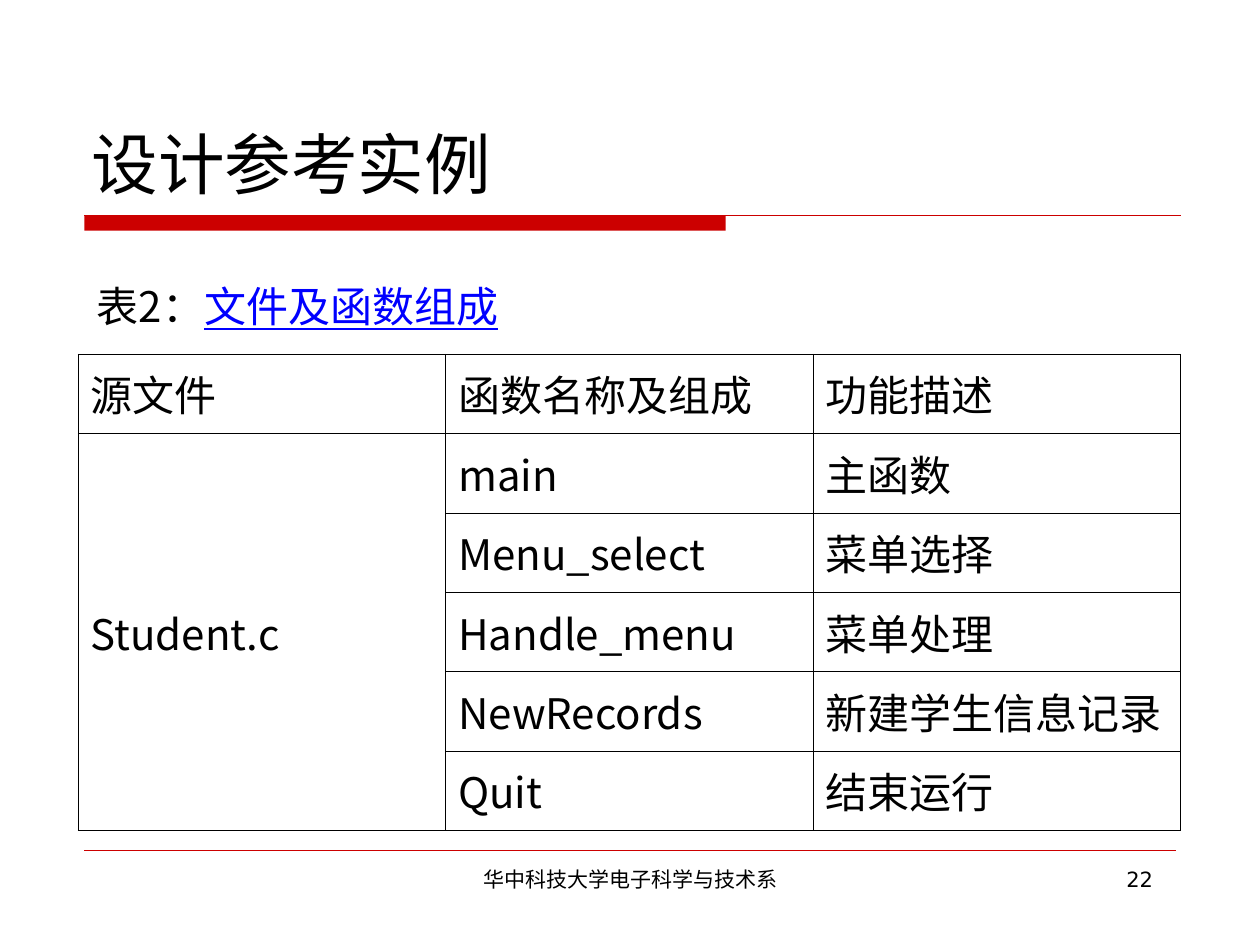
from lxml import etree
from pptx import Presentation
from pptx import util as u
from pptx.dml.color import RGBColor
from pptx.enum import shapes, text
from pptx.oxml.ns import qn

RED, BLACK, BLUE, WHITE = "CC0000", "000000", "0000FF", "FFFFFF"
SANS, CJK = "DejaVu Sans", "Noto Sans CJK JP"
LEFT, MIDDLE = text.PP_ALIGN.LEFT, text.MSO_ANCHOR.MIDDLE
MARGINS = {"margin_left": 0.1, "margin_top": 0.05,
           "margin_right": 0.1, "margin_bottom": 0.05}


def color(value):
    return RGBColor.from_string(value)


def inches(values):
    return [u.Inches(value) for value in values]


def add_span(para, words, size, font, ink=BLACK, underline=None):
    span = para.add_run()
    span.text = words
    formats = {"name": font, "size": u.Pt(size), "underline": underline}
    for name, value in formats.items():
        setattr(span.font, name, value)
    span.font.color.rgb = color(ink)
    east_asian = etree.SubElement(span.font._element, qn("a:ea"))
    east_asian.set("typeface", font)


def add_text(page, place, spans, align=LEFT, anchor=text.MSO_ANCHOR.TOP):
    frame = page.shapes.add_textbox(*inches(place)).text_frame
    formats = {"word_wrap": True, "vertical_anchor": anchor}
    formats.update({name: u.Inches(value) for name, value in MARGINS.items()})
    for name, value in formats.items():
        setattr(frame, name, value)
    para = frame.paragraphs[0]
    para.alignment = align
    for span in spans:
        add_span(para, *span)


def add_rule(page, left, top, width, weight):
    rule = page.shapes.add_connector(
        shapes.MSO_CONNECTOR.STRAIGHT, *inches((left, top, left + width, top)))
    rule.line.color.rgb = color(RED)
    rule.line.width = u.Pt(weight)
    etree.SubElement(rule._element.spPr, qn("a:effectLst"))


def add_header(page, left, top, width, height, title):
    add_text(page, (left, top, width, height), [(title, 38, SANS)],
             anchor=text.MSO_ANCHOR.BOTTOM)
    bar_left, bar_top = left + 0.04, top + height + 0.05
    bar = page.shapes.add_shape(shapes.MSO_SHAPE.RECTANGLE,
                                *inches((bar_left, bar_top, 5.09, 0.12)))
    bar.shadow.inherit = False
    bar.fill.solid()
    bar.fill.fore_color.rgb = color(RED)
    bar.line.fill.background()
    add_rule(page, bar_left, bar_top, 8.7, 0.74)


def add_footer(page, left, top, width, owner, number):
    add_rule(page, left, top, width, 0.26)
    add_text(page, (left + 2.75, top + 0.08, 3.17, 0.52),
             [(owner, 12, SANS)], text.PP_ALIGN.CENTER)
    add_text(page, (left + 6.5, top + 0.08, 2.08, 0.5),
             [(number, 12, SANS)], text.PP_ALIGN.RIGHT)


def add_borders(cell):
    properties = cell._tc.get_or_add_tcPr()
    for index, side in enumerate(("lnL", "lnR", "lnT", "lnB")):
        border = etree.Element(qn("a:" + side), w=str(u.Pt(0.34)))
        fill = etree.SubElement(border, qn("a:solidFill"))
        etree.SubElement(fill, qn("a:srgbClr"), val=BLACK)
        properties.insert(index, border)


def add_function_table(page, left, top, width, height, rows):
    table = page.shapes.add_table(
        len(rows), len(rows[0]), *inches((left, top, width, height))).table
    table.first_row = table.horz_banding = False
    for row_index, row in enumerate(rows):
        for column_index, words in enumerate(row):
            cell = table.cell(row_index, column_index)
            cell.vertical_anchor = MIDDLE
            for name, value in MARGINS.items():
                setattr(cell, name, u.Inches(value))
            cell.fill.solid()
            cell.fill.fore_color.rgb = color(WHITE)
            add_borders(cell)
            if words:
                add_span(cell.text_frame.paragraphs[0], words, 24, CJK)
    table.cell(1, 0).merge(table.cell(len(rows) - 1, 0))


FUNCTIONS = [
    ("源文件", "函数名称及组成", "功能描述"),
    ("Student.c", "main", "主函数"),
    ("", "Menu_select", "菜单选择"),
    ("", "Handle_menu", "菜单处理"),
    ("", "NewRecords", "新建学生信息记录"),
    ("", "Quit", "结束运行"),
]

deck = Presentation()
deck.slide_width, deck.slide_height = inches((10, 7.5))
page = deck.slides.add_slide(deck.slide_layouts[6])
add_header(page, 0.63, 0.33, 8.75, 1.33, "设计参考实例")
add_footer(page, 0.67, 6.75, 8.66, "华中科技大学电子科学与技术系", "22")
add_function_table(page, 0.62, 2.81, 8.75, 3.78, FUNCTIONS)
add_text(page, (0.67, 2.18, 6.06, 0.5),
         [("表2：", 24, CJK), ("文件及函数组成", 24, CJK, BLUE, True)],
         anchor=MIDDLE)
deck.save("out.pptx")
